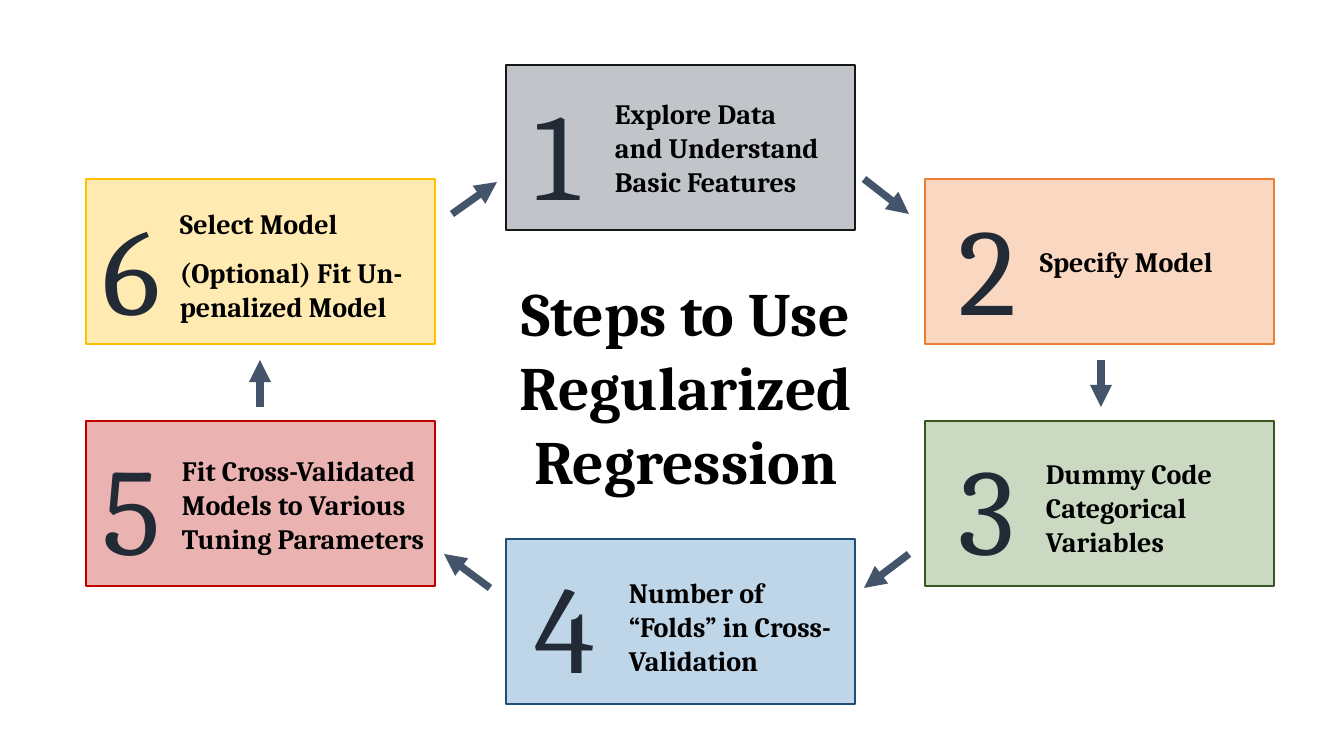
"""Build a slide showing the six-step cycle of regularized regression."""
from typing import NamedTuple

import pptx
import pptx.dml.color
import pptx.enum.shapes
import pptx.enum.text
import pptx.oxml
import pptx.oxml.ns
import pptx.slide
import pptx.util

RGBColor = pptx.dml.color.RGBColor
EMU_PER_PX = 914400 / 100.8
FONT = "Cambria"
FILL_OPACITY = 30

BLACK = RGBColor(0x00, 0x00, 0x00)
NUMBER_INK = RGBColor(0x22, 0x2A, 0x35)
ARROW_BLUE = RGBColor(0x44, 0x54, 0x6A)
SLATE = RGBColor(0x33, 0x3F, 0x50)
CHARCOAL = RGBColor(0x18, 0x17, 0x17)
ORANGE = RGBColor(0xED, 0x7D, 0x31)
GREEN = RGBColor(0x54, 0x82, 0x35)
DARK_GREEN = RGBColor(0x38, 0x57, 0x23)
BLUE = RGBColor(0x2E, 0x75, 0xB6)
DARK_BLUE = RGBColor(0x1F, 0x4E, 0x79)
RED = RGBColor(0xC0, 0x00, 0x00)
GOLD = RGBColor(0xFF, 0xC0, 0x00)

CARD_WIDTH, CARD_HEIGHT = 349, 165
NUMBER_WIDTH, NUMBER_HEIGHT = 71, 159
LEFT, CENTER, RIGHT = 86, 506, 925
NUMBER_LEFT = {LEFT: 93, CENTER: 525, RIGHT: 949}
TOP, UPPER, LOWER, BOTTOM = 65, 179, 421, 539
NUMBER_TOP = {TOP: 72, UPPER: 187, LOWER: 427, BOTTOM: 545}


class Box(NamedTuple):
    """A rectangle in px."""
    left: int
    top: int
    width: int
    height: int


class Step(NamedTuple):
    """One numbered card of the cycle."""
    left: int
    top: int
    fill: RGBColor
    border: RGBColor
    label: str
    label_box: Box


class Arrow(NamedTuple):
    """An arrow in px, with its head at the end point."""
    start_x: int
    start_y: int
    end_x: int
    end_y: int


STEPS = [
    Step(CENTER, TOP, SLATE, CHARCOAL,
         "Explore Data and Understand Basic Features", Box(605, 92, 233, 112)),
    Step(RIGHT, UPPER, ORANGE, ORANGE,
         "Specify Model", Box(1030, 240, 234, 44)),
    Step(RIGHT, LOWER, GREEN, DARK_GREEN,
         "Dummy Code Categorical Variables", Box(1036, 452, 234, 112)),
    Step(CENTER, BOTTOM, BLUE, DARK_BLUE,
         "Number of “Folds” in Cross-Validation", Box(619, 571, 239, 112)),
    Step(LEFT, LOWER, RED, RED,
         "Fit Cross-Validated Models to Various Tuning Parameters",
         Box(172, 449, 281, 112)),
    Step(LEFT, UPPER, GOLD, GOLD,
         "Select Model\n(Optional) Fit Un-penalized Model",
         Box(170, 202, 273, 127)),
]

ARROWS = [
    Arrow(864, 179, 909, 214),
    Arrow(1101, 360, 1101, 407),
    Arrow(909, 554, 864, 588),
    Arrow(490, 588, 444, 554),
    Arrow(260, 407, 260, 360),
    Arrow(452, 214, 497, 182),
]


def px(length: int) -> int:
    """Turn px into EMU."""
    return pptx.util.Emu(round(length * EMU_PER_PX))


def draw_card(slide: pptx.slide.Slide, step: Step) -> None:
    """Draw the translucent card of a step."""
    card = slide.shapes.add_shape(
        pptx.enum.shapes.MSO_SHAPE.RECTANGLE,
        px(step.left), px(step.top), px(CARD_WIDTH), px(CARD_HEIGHT))
    card.shadow.inherit = False
    card.fill.solid()
    card.fill.fore_color.rgb = step.fill
    color = card.fill._xPr.find(".//" + pptx.oxml.ns.qn("a:srgbClr"))
    alpha = pptx.oxml.parse_xml(
        f'<a:alpha {pptx.oxml.ns.nsdecls("a")} val="{FILL_OPACITY * 1000}"/>')
    color.append(alpha)
    card.line.color.rgb = step.border
    card.line.width = pptx.util.Pt(1)


def draw_text(slide: pptx.slide.Slide, text: str, box: Box, size: int,
              color: RGBColor = BLACK, bold: bool = True,
              centered: bool = False) -> None:
    """Draw wrapped text with one format throughout."""
    frame = slide.shapes.add_textbox(*map(px, box)).text_frame
    frame.word_wrap = True
    frame.auto_size = pptx.enum.text.MSO_AUTO_SIZE.SHAPE_TO_FIT_TEXT
    frame.text = text
    for index, paragraph in enumerate(frame.paragraphs):
        if centered:
            paragraph.alignment = pptx.enum.text.PP_ALIGN.CENTER
        if index:
            paragraph.space_before = pptx.util.Pt(11)
        for run in paragraph.runs:
            run.font.name = FONT
            run.font.size = pptx.util.Pt(size)
            run.font.bold = bold
            run.font.color.rgb = color


def draw_arrow(slide: pptx.slide.Slide, arrow: Arrow) -> None:
    """Draw a thick arrow between two steps."""
    connector = slide.shapes.add_connector(
        pptx.enum.shapes.MSO_CONNECTOR.STRAIGHT, *map(px, arrow))
    connector.line.color.rgb = ARROW_BLUE
    connector.line.width = pptx.util.Pt(5.25)
    namespace = pptx.oxml.ns.nsdecls("a")
    connector.line._get_or_add_ln().append(
        pptx.oxml.parse_xml(f'<a:tailEnd {namespace} type="triangle"/>'))
    connector._element.spPr.append(
        pptx.oxml.parse_xml(f"<a:effectLst {namespace}/>"))


def main() -> None:
    """Build and save the slide."""
    deck = pptx.Presentation()
    deck.slide_width, deck.slide_height = px(1344), px(756)
    slide = deck.slides.add_slide(deck.slide_layouts[6])
    for number, step in enumerate(STEPS, start=1):
        draw_card(slide, step)
        number_box = Box(NUMBER_LEFT[step.left], NUMBER_TOP[step.top],
                         NUMBER_WIDTH, NUMBER_HEIGHT)
        draw_text(slide, str(number), number_box, 88, NUMBER_INK, bold=False)
        draw_text(slide, step.label, step.label_box, 20)
    for arrow in ARROWS:
        draw_arrow(slide, arrow)
    draw_text(slide, "Steps to Use Regularized Regression",
              Box(430, 270, 512, 234), 44, centered=True)
    deck.save("out.pptx")


if __name__ == "__main__":
    main()
